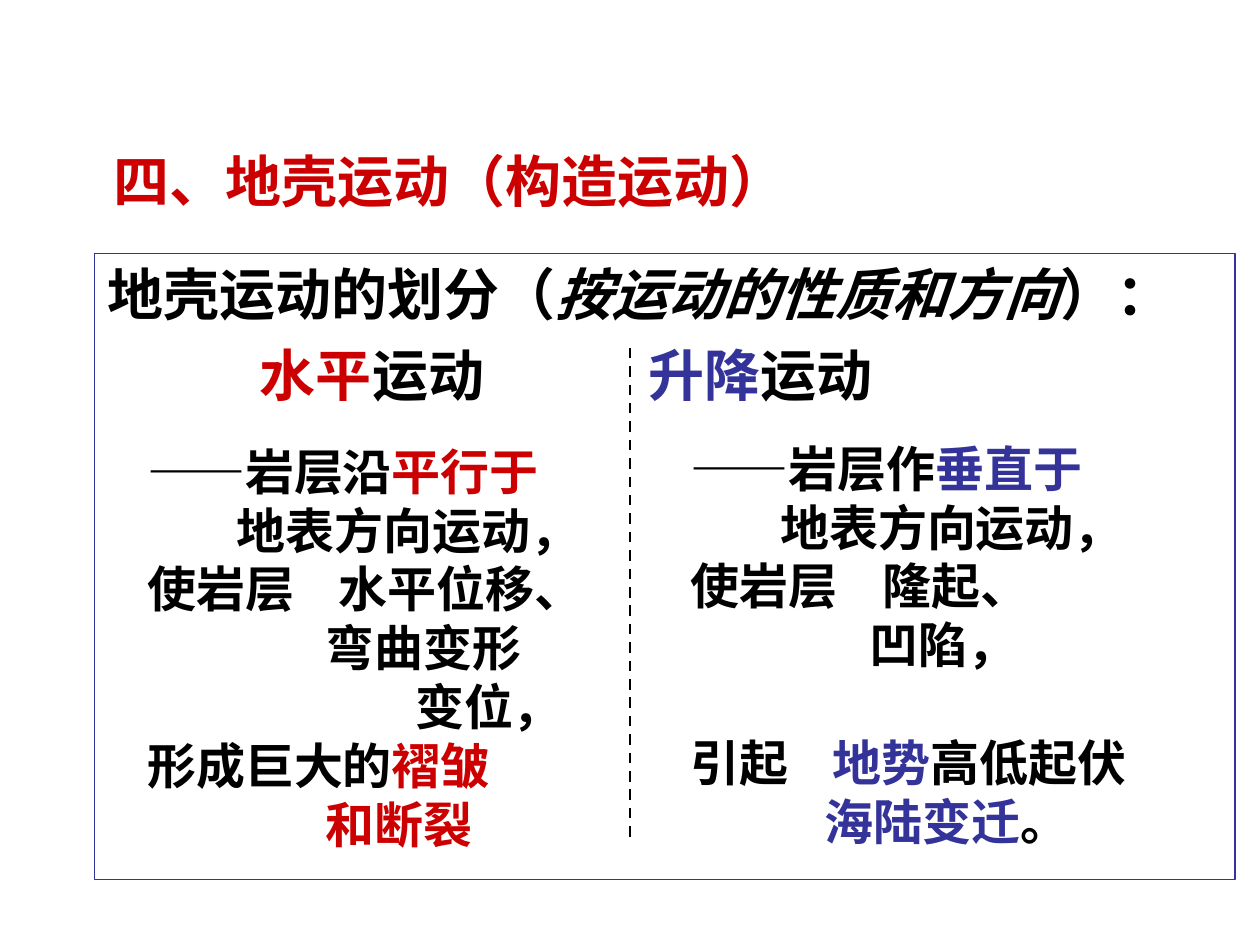
from lxml.etree import SubElement
from pptx import Presentation
from pptx.dml.color import RGBColor
from pptx.enum.dml import MSO_LINE
from pptx.enum.shapes import MSO_CONNECTOR
from pptx.enum.text import MSO_ANCHOR, PP_ALIGN
from pptx.oxml.ns import qn
from pptx.util import Cm, Pt

THEME = {
    "red": RGBColor(0xCC, 0x00, 0x00),
    "blue": RGBColor(0x33, 0x33, 0x99),
    "black": RGBColor(0x00, 0x00, 0x00),
    "heading": {"name": "Arial", "size": Pt(32), "bold": True},
    "detail": {"name": "Times New Roman", "size": Pt(28), "bold": True},
}
LEVEL = 1.8  # indent step of the detail lines, in cm


def write_line(para, spans, style, tabs=(), indent=0):
    """Fill a paragraph with (text, colour[, italic]) spans."""
    properties = para._p.get_or_add_pPr()
    if indent:
        properties.set("marL", str(Cm(indent)))
        properties.set("indent", "0")
    elif tabs:
        tab_list = SubElement(properties, qn("a:tabLst"))
        for position in tabs:
            SubElement(tab_list, qn("a:tab"), pos=str(Cm(position)), algn="l")
    for text, colour, *italic in spans:
        span = para.add_run()
        span.text = text
        for name, value in THEME[style].items():
            setattr(span.font, name, value)
        span.font.color.rgb = THEME[colour]
        span.font.italic = bool(italic)


def add_box(left, top, width, height):
    box = page.shapes.add_textbox(Cm(left), Cm(top), Cm(width), Cm(height))
    box.text_frame.word_wrap = True
    return box


deck = Presentation()
deck.slide_width, deck.slide_height = Cm(25.4), Cm(19.05)
page = deck.slides.add_slide(deck.slide_layouts[5])

# Title
title = page.shapes.title
title_place = {"left": 1.48, "top": 2.78, "width": 15.42, "height": 1.7}
for name, value in title_place.items():
    setattr(title, name, Cm(value))
title.text_frame.vertical_anchor = MSO_ANCHOR.MIDDLE
title_para = title.text_frame.paragraphs[0]
title_para.alignment = PP_ALIGN.CENTER
write_line(title_para, [("四、地壳运动（构造运动） ", "red")], "heading")

# Framed classification
frame = add_box(1.91, 5.11, 22.99, 12.62)
frame.line.color.rgb = THEME["blue"]
frame.line.width = Pt(0.75)
write_line(frame.text_frame.paragraphs[0], [
    ("地壳运动的划分（", "black"),
    ("按运动的性质和方向", "black", "italic"),
    ("）：", "black"),
], "heading")

# Column headings on either side of the divider
for left, kind, colour in [(4.99, "水平", "red"), (12.83, "升降", "blue")]:
    heading = add_box(left, 6.74, 6, 1.6)
    write_line(heading.text_frame.paragraphs[0],
               [(kind, colour), ("运动", "black")], "heading")

# Details: each line is (indent level, space before in points, spans)
columns = [
    (2.72, 8.77, [
        (0, 0, [("——岩层沿", "black"), ("平行于", "red")]),
        (1, 0, [("地表方向运动，", "black")]),
        (0, 0, [("使岩层\t水平位移、", "black")]),
        (2, 0, [("弯曲变形", "black")]),
        (3, 0, [("变位，", "black")]),
        (0, 0, [("形成巨大的", "black"), ("褶皱", "red")]),
        (2, 0, [("和断裂", "red")]),
    ]),
    (13.68, 8.71, [
        (0, 0, [("——岩层作", "black"), ("垂直于", "blue")]),
        (1, 0, [("地表方向运动，", "black")]),
        (0, 0, [("使岩层\t隆起、", "black")]),
        (2, 0, [("凹陷，", "black")]),
        (0, 33.6, [("引起\t", "black"), ("地势", "blue"), ("高低起伏", "black")]),
        (1.5, 0, [("海陆变迁", "blue"), ("。", "black")]),
    ]),
]
for left, top, lines in columns:
    box = add_box(left, top, 9.8, 8.56)
    for number, (level, space, spans) in enumerate(lines):
        text = box.text_frame
        para = text.add_paragraph() if number else text.paragraphs[0]
        if space:
            para.space_before = Pt(space)
        write_line(para, spans, "detail", tabs=(2.86, 3.86), indent=level * LEVEL)

# Dashed divider between the columns
divider = page.shapes.add_connector(
    MSO_CONNECTOR.STRAIGHT, Cm(12.7), Cm(7.01), Cm(12.7), Cm(16.92))
divider.line.color.rgb = THEME["black"]
divider.line.width = Pt(1.5)
divider.line.dash_style = MSO_LINE.DASH
SubElement(divider._element.spPr, qn("a:effectLst"))

deck.save("out.pptx")
